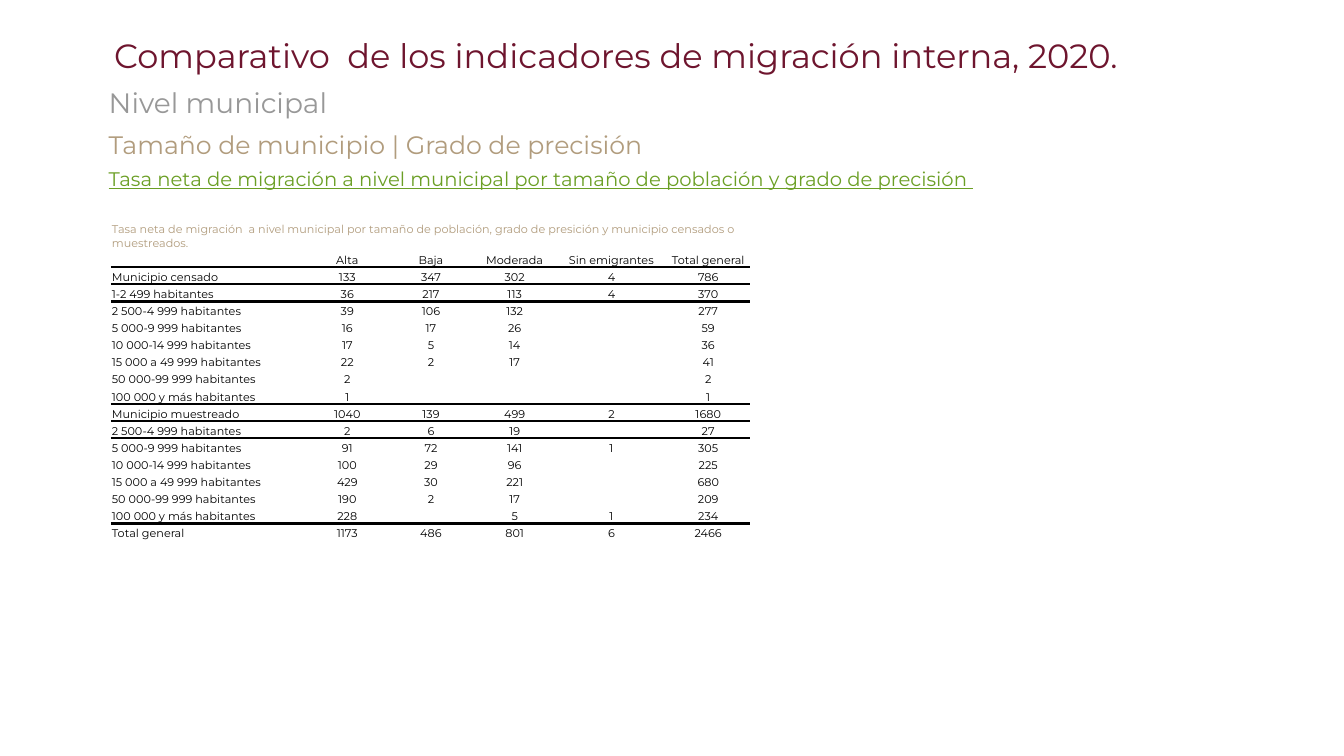
import lxml.etree
import pptx
import pptx.dml.color
import pptx.enum.text
import pptx.oxml.ns
import pptx.util

Inches = pptx.util.Inches
Pt = pptx.util.Pt
qn = pptx.oxml.ns.qn
RGBColor = pptx.dml.color.RGBColor
ALIGN = pptx.enum.text.PP_ALIGN
ANCHOR = pptx.enum.text.MSO_ANCHOR

WINE = RGBColor(0x6E, 0x15, 0x2E)
GRAY = RGBColor(0x98, 0x98, 0x98)
SAND = RGBColor(0xB1, 0x9C, 0x7D)
GREEN = RGBColor(0x6B, 0x9F, 0x25)
BLACK = RGBColor(0, 0, 0)
FONT = "Montserrat"
NO_STYLE = "{2D5ABB26-0587-4C30-8999-92F81FD0307C}"

CAPTION = ("Tasa neta de migración  a nivel municipal por tamaño de población, "
           "grado de presición y municipio censados o muestreados.")
MIGRATION = [
    ["", "Alta", "Baja", "Moderada", "Sin emigrantes", "Total general"],
    ["Municipio censado", 133, 347, 302, 4, 786],
    ["1-2 499 habitantes", 36, 217, 113, 4, 370],
    ["2 500-4 999 habitantes", 39, 106, 132, "", 277],
    ["5 000-9 999 habitantes", 16, 17, 26, "", 59],
    ["10 000-14 999 habitantes", 17, 5, 14, "", 36],
    ["15 000 a 49 999 habitantes", 22, 2, 17, "", 41],
    ["50 000-99 999 habitantes", 2, "", "", "", 2],
    ["100 000 y más habitantes", 1, "", "", "", 1],
    ["Municipio muestreado", 1040, 139, 499, 2, 1680],
    ["2 500-4 999 habitantes", 2, 6, 19, "", 27],
    ["5 000-9 999 habitantes", 91, 72, 141, 1, 305],
    ["10 000-14 999 habitantes", 100, 29, 96, "", 225],
    ["15 000 a 49 999 habitantes", 429, 30, 221, "", 680],
    ["50 000-99 999 habitantes", 190, 2, 17, "", 209],
    ["100 000 y más habitantes", 228, "", 5, 1, 234],
    ["Total general", 1173, 486, 801, 6, 2466],
]
COLUMN_WIDTHS = [1.93, 0.83, 0.83, 0.83, 1.09, 0.83]
CAPTION_HEIGHT = 0.35
ROW_HEIGHT = 0.17
RULES_BELOW = {1: 1, 2: 2, 9: 1, 10: 2, 16: 2}


def write(frame, text, size, color, align=ALIGN.LEFT, underline=None, spacing=None):
    paragraph = frame.paragraphs[0]
    paragraph.alignment = align
    paragraph.line_spacing = spacing
    if text == "":
        ending = lxml.etree.SubElement(paragraph._p, qn("a:endParaRPr"))
        ending.set("sz", str(size * 100))
        return
    run = paragraph.add_run()
    run.text = text
    run.font.name = FONT
    run.font.size = Pt(size)
    run.font.color.rgb = color
    run.font.underline = underline


def add_heading(slide, box, text, anchor=ANCHOR.TOP, **style):
    frame = slide.shapes.add_textbox(*map(Inches, box)).text_frame
    frame.word_wrap = True
    frame.vertical_anchor = anchor
    write(frame, text, **style)


def add_headings(slide, left, top):
    add_heading(slide, (left - 0.58, top, 11.5, 0.48),
                "Comparativo  de los indicadores de migración interna, 2020. ",
                anchor=ANCHOR.BOTTOM, size=24, color=WINE, align=ALIGN.CENTER, spacing=0.9)
    add_heading(slide, (left, top + 0.48, 2.42, 0.44), "Nivel municipal", size=20, color=GRAY)
    add_heading(slide, (left, top + 0.91, 5.7, 0.71),
                "Tamaño de municipio | Grado de precisión", size=18, color=SAND)
    add_heading(slide, (left, top + 1.29, 9.03, 0.34),
                "Tasa neta de migración a nivel municipal por tamaño de población y grado de precisión ",
                size=14, color=GREEN, underline=True)


def add_rule(cell, side, width):
    line = lxml.etree.Element(qn("a:" + side), w=str(Pt(width)))
    fill = lxml.etree.SubElement(line, qn("a:solidFill"))
    lxml.etree.SubElement(fill, qn("a:srgbClr"), val=str(BLACK))
    cell._tc.get_or_add_tcPr().insert(0, line)


def fill_cell(cell, text, **style):
    cell.margin_left = cell.margin_right = cell.margin_top = Inches(0.01)
    cell.margin_bottom = 0
    cell.vertical_anchor = ANCHOR.BOTTOM
    cell.fill.background()
    write(cell.text_frame, text, size=8, **style)


def add_migration_table(slide, left, top):
    height = CAPTION_HEIGHT + ROW_HEIGHT * len(MIGRATION)
    frame = slide.shapes.add_table(
        len(MIGRATION) + 1, len(COLUMN_WIDTHS),
        *map(Inches, (left, top, sum(COLUMN_WIDTHS), height)))
    frame.element.find(".//" + qn("a:tableStyleId")).text = NO_STYLE
    table = frame.table
    table.first_row = table.horz_banding = False
    for column, width in zip(table.columns, COLUMN_WIDTHS):
        column.width = Inches(width)
    for row in table.rows:
        row.height = Inches(ROW_HEIGHT)
    table.rows[0].height = Inches(CAPTION_HEIGHT)

    caption = table.cell(0, 0)
    caption.merge(table.cell(0, len(COLUMN_WIDTHS) - 1))
    fill_cell(caption, CAPTION, color=SAND)
    for r, values in enumerate(MIGRATION, start=1):
        for c, value in enumerate(values):
            cell = table.cell(r, c)
            fill_cell(cell, str(value), color=BLACK, align=ALIGN.CENTER if c else ALIGN.LEFT)
            for side, rule_row in (("lnB", r), ("lnT", r - 1)):
                if rule_row in RULES_BELOW:
                    add_rule(cell, side, RULES_BELOW[rule_row])


def main():
    deck = pptx.Presentation()
    deck.slide_width = Inches(13.33)
    deck.slide_height = Inches(7.5)
    slide = deck.slides.add_slide(deck.slide_layouts[6])
    add_headings(slide, 0.98, 0.32)
    add_migration_table(slide, 1.1, 2.13)
    deck.save("out.pptx")


if __name__ == "__main__":
    main()
